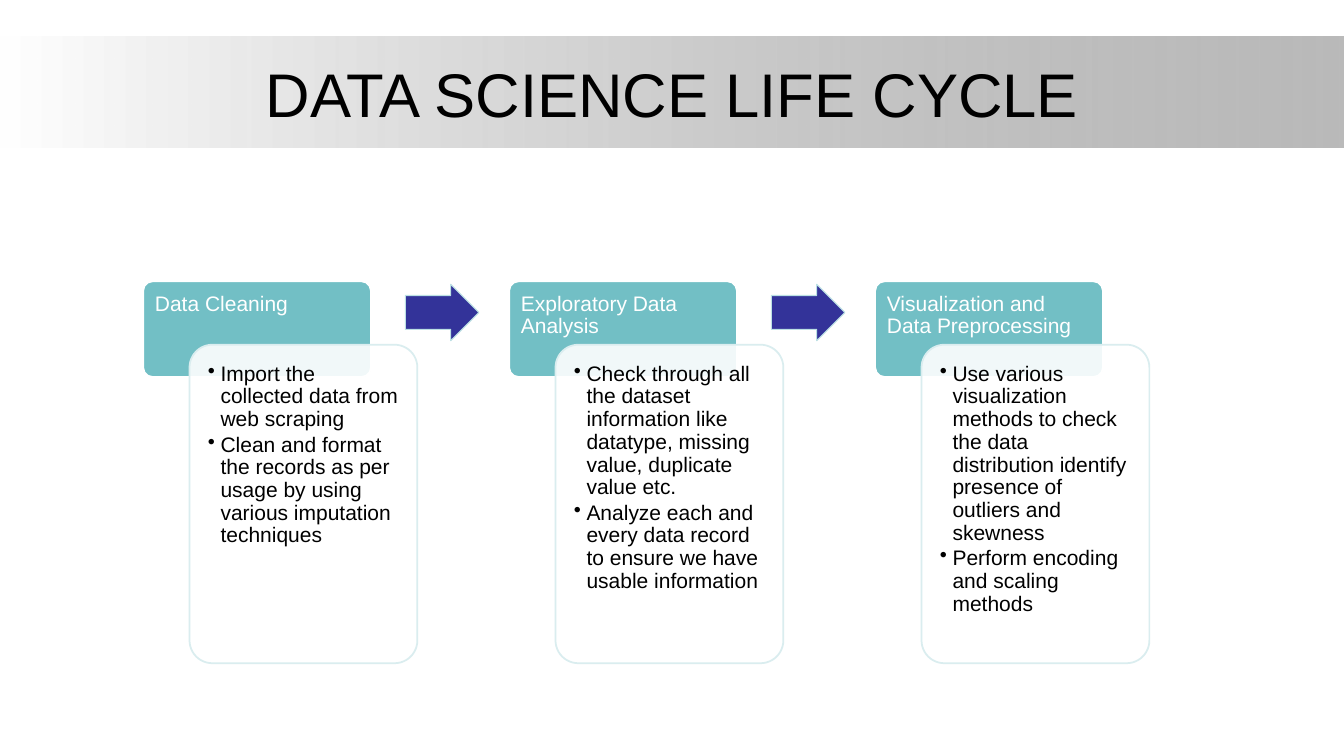
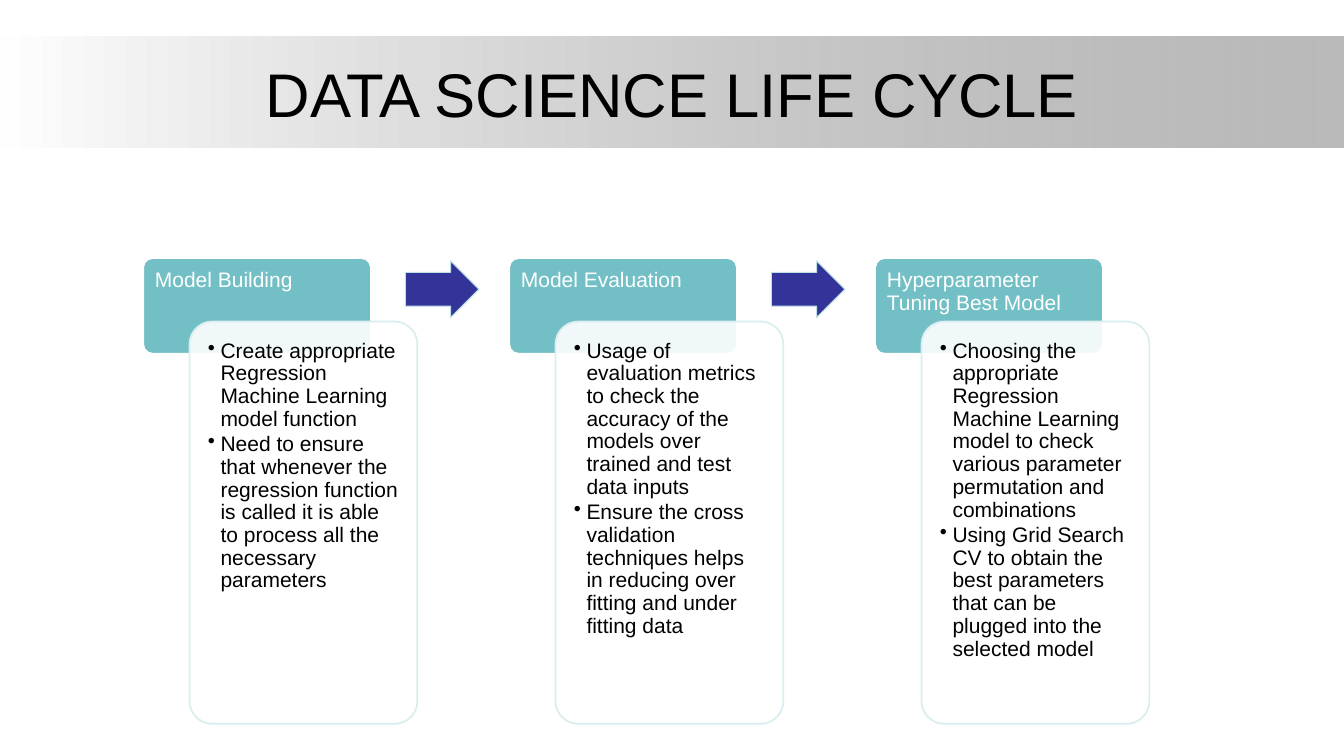
from dataclasses import dataclass
from typing import Any

from lxml import etree
from pptx import Presentation
from pptx import util as u
from pptx.dml.color import RGBColor
from pptx.enum import shapes, text
from pptx.oxml.ns import qn

SLIDE_WIDTH, SLIDE_HEIGHT = 13.33, 7.5
FIRST_COLUMN, COLUMN_PITCH = 1.42, 3.63
BOX_WIDTH, HEADER_HEIGHT = 2.26, 0.95
CARD_RIGHT, CARD_DOWN = 0.46, 0.63
ARROW_RIGHT, ARROW_DOWN, ARROW_WIDTH, ARROW_HEIGHT = 2.6, 0.03, 0.73, 0.56
TITLE = "DATA SCIENCE LIFE CYCLE"
FONT = "Arial"
WHITE, BLACK, GREY = "FFFFFF", "000000", "808080"
TEAL, PALE_TEAL, ARROW_EDGE, INDIGO = "72BFC5", "DAEDEF", "BBE0E3", "333399"

HEADER_FRAME = {
    "margin_left": u.Pt(6.4), "margin_right": u.Pt(6.4),
    "margin_top": u.Pt(6.4), "margin_bottom": u.Pt(4.2),
    "vertical_anchor": text.MSO_ANCHOR.TOP, "word_wrap": True,
}
CARD_FRAME = HEADER_FRAME | {
    f"margin_{side}": u.Pt(8.4) for side in ("left", "right", "top", "bottom")
}
TITLE_FRAME = {"vertical_anchor": text.MSO_ANCHOR.MIDDLE, "word_wrap": True}
HEADER_PARA = {"alignment": text.PP_ALIGN.LEFT, "line_spacing": 0.9, "space_after": u.Pt(6)}
CARD_PARA = HEADER_PARA | {"space_after": u.Pt(2)}
TITLE_PARA = {"alignment": text.PP_ALIGN.CENTER}
BODY_FONT = {"name": FONT, "size": u.Pt(15)}
TITLE_FONT = {"name": FONT, "size": u.Pt(44)}


@dataclass(frozen=True)
class Area:
    left: float
    top: float
    width: float
    height: float

    def lengths(self) -> tuple[int, ...]:
        return tuple(u.Inches(n) for n in (self.left, self.top, self.width, self.height))


@dataclass(frozen=True)
class Look:
    preset: Any
    fill: str
    edge: str
    edge_width: float
    adjustments: tuple[float, ...]


@dataclass(frozen=True)
class Stage:
    name: str
    tasks: tuple[str, ...]


@dataclass(frozen=True)
class Process:
    top: float
    card_height: float
    stages: tuple[Stage, ...]


HEADER = Look(shapes.MSO_SHAPE.ROUNDED_RECTANGLE, TEAL, WHITE, 1.25, (0.1,))
CARD = Look(shapes.MSO_SHAPE.ROUNDED_RECTANGLE, WHITE, PALE_TEAL, 1.25, (0.1,))
ARROW = Look(shapes.MSO_SHAPE.RIGHT_ARROW, INDIGO, ARROW_EDGE, 0.75, (0.6, 0.5))

PROCESSES = (
    Process(2.79, 3.16, (
        Stage("Data Cleaning", (
            "Import the collected data from web scraping",
            "Clean and format the records as per usage by using various imputation techniques",
        )),
        Stage("Exploratory Data Analysis", (
            "Check through all the dataset information like datatype, missing value, "
            "duplicate value etc.",
            "Analyze each and every data record to ensure we have usable information",
        )),
        Stage("Visualization and Data Preprocessing", (
            "Use various visualization methods to check the data distribution identify "
            "presence of outliers and skewness",
            "Perform encoding and scaling methods",
        )),
    )),
    Process(2.56, 3.99, (
        Stage("Model Building", (
            "Create appropriate Regression Machine Learning model function",
            "Need to ensure that whenever the regression function is called it is able to "
            "process all the necessary parameters",
        )),
        Stage("Model Evaluation", (
            "Usage of evaluation metrics to check the accuracy of the models over trained "
            "and test data inputs",
            "Ensure the cross validation techniques helps in reducing over fitting and "
            "under fitting data",
        )),
        Stage("Hyperparameter Tuning Best Model", (
            "Choosing the appropriate Regression Machine Learning model to check various "
            "parameter permutation and combinations",
            "Using Grid Search CV to obtain the best parameters that can be plugged into "
            "the selected model",
        )),
    )),
)


def colour(value: str) -> RGBColor:
    return RGBColor.from_string(value)


def apply(target: Any, values: dict[str, Any]) -> None:
    for name, value in values.items():
        setattr(target, name, value)


def set_opacity(box: Any, value: str, percent: int) -> None:
    for node in box.element.spPr.iter(qn("a:srgbClr")):
        if node.get("val") == value:
            etree.SubElement(node, qn("a:alpha")).set("val", str(percent * 1000))


def add_bullet(para: Any) -> None:
    properties = para._p.get_or_add_pPr()
    properties.set("marL", str(u.Pt(9)))
    properties.set("indent", str(-u.Pt(9)))
    etree.SubElement(properties, qn("a:buChar")).set("char", "•")


def write(box: Any, lines: tuple[str, ...], frame_format: dict[str, Any],
          para_format: dict[str, Any], font_format: dict[str, Any],
          ink: str, bulleted: bool = False) -> None:
    frame = box.text_frame
    apply(frame, frame_format)
    for index, line in enumerate(lines):
        para = frame.add_paragraph() if index else frame.paragraphs[0]
        apply(para, para_format)
        if bulleted:
            add_bullet(para)
        span = para.add_run()
        span.text = line
        apply(span.font, font_format)
        span.font.color.rgb = colour(ink)


def add_box(page: Any, look: Look, area: Area) -> Any:
    box = page.shapes.add_shape(look.preset, *area.lengths())
    box.shadow.inherit = False
    box.fill.solid()
    box.fill.fore_color.rgb = colour(look.fill)
    box.line.color.rgb = colour(look.edge)
    box.line.width = u.Pt(look.edge_width)
    for index, value in enumerate(look.adjustments):
        box.adjustments[index] = value
    return box


def add_band(page: Any) -> None:
    area = Area(0, 0.36, SLIDE_WIDTH, 1.1)
    band = page.shapes.add_shape(shapes.MSO_SHAPE.RECTANGLE, *area.lengths())
    band.shadow.inherit = False
    band.line.fill.background()
    band.fill.gradient()
    band.fill.gradient_angle = 0
    for stop, value in zip(band.fill.gradient_stops, (WHITE, GREY)):
        stop.color.rgb = colour(value)
    set_opacity(band, GREY, 54)
    page.shapes.element.insert(2, band.element)


def add_title(page: Any) -> None:
    title = page.shapes.title
    places = ("left", "top", "width", "height")
    apply(title, dict(zip(places, Area(0.67, 0.3, 12, 1.25).lengths())))
    write(title, (TITLE,), TITLE_FRAME, TITLE_PARA, TITLE_FONT, BLACK)


def add_stage(page: Any, stage: Stage, left: float, process: Process) -> None:
    header = add_box(page, HEADER, Area(left, process.top, BOX_WIDTH, HEADER_HEIGHT))
    write(header, (stage.name,), HEADER_FRAME, HEADER_PARA, BODY_FONT, WHITE)
    card = add_box(page, CARD, Area(left + CARD_RIGHT, process.top + CARD_DOWN,
                                    BOX_WIDTH, process.card_height))
    set_opacity(card, WHITE, 90)
    write(card, stage.tasks, CARD_FRAME, CARD_PARA, BODY_FONT, BLACK, bulleted=True)


def add_process(deck: Any, process: Process) -> None:
    page = deck.slides.add_slide(deck.slide_layouts.get_by_name("Title Only"))
    add_band(page)
    add_title(page)
    for index, stage in enumerate(process.stages):
        left = FIRST_COLUMN + index * COLUMN_PITCH
        add_stage(page, stage, left, process)
        if index < len(process.stages) - 1:
            add_box(page, ARROW, Area(left + ARROW_RIGHT, process.top + ARROW_DOWN,
                                      ARROW_WIDTH, ARROW_HEIGHT))


def main() -> None:
    deck = Presentation()
    deck.slide_width = u.Inches(SLIDE_WIDTH)
    deck.slide_height = u.Inches(SLIDE_HEIGHT)
    for process in PROCESSES:
        add_process(deck, process)
    deck.save("out.pptx")


if __name__ == "__main__":
    main()
